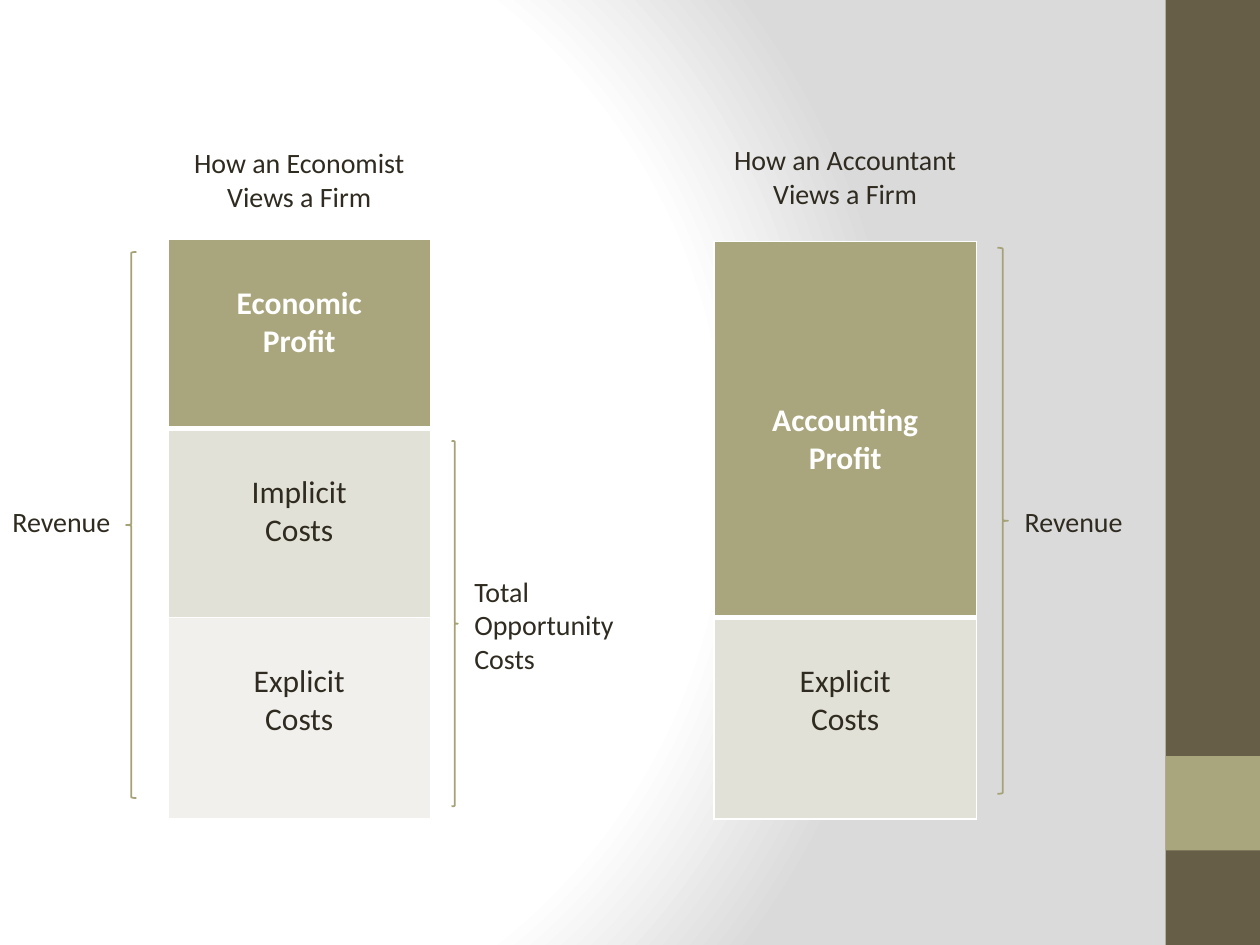
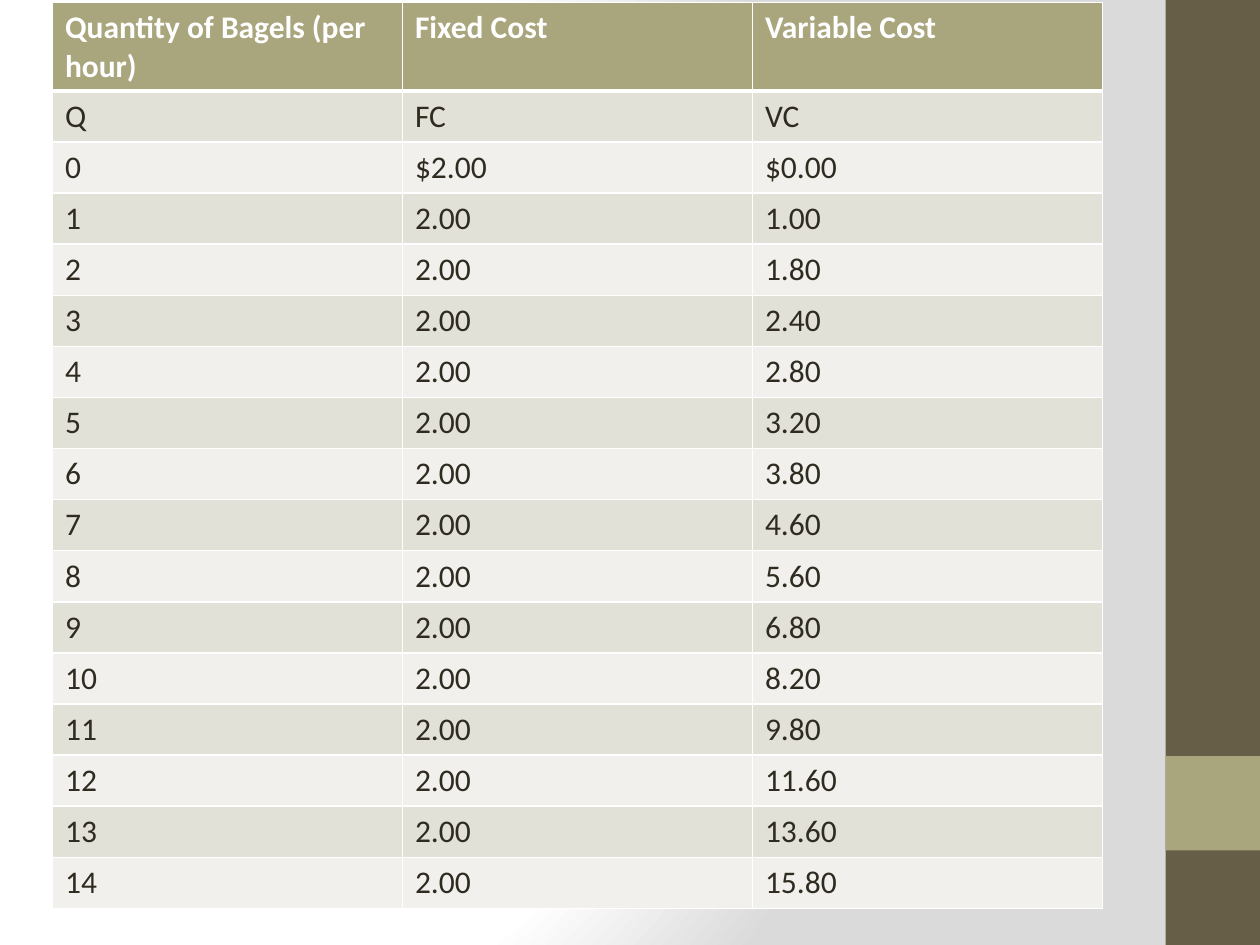
"""Build two slides on economic versus accounting profit and bagel costs."""
from dataclasses import dataclass

from lxml import etree
from pptx import Presentation
from pptx.dml.color import RGBColor
from pptx.enum.shapes import MSO_SHAPE
from pptx.enum.text import PP_ALIGN
from pptx.oxml import parse_xml
from pptx.oxml.ns import nsdecls, qn
from pptx.util import Inches, Pt

RECT = MSO_SHAPE.RECTANGLE
LEFT_BRACE = MSO_SHAPE.LEFT_BRACE
RIGHT_BRACE = MSO_SHAPE.RIGHT_BRACE
LEFT = PP_ALIGN.LEFT
CENTER = PP_ALIGN.CENTER

WIDTH, HEIGHT = Inches(10), Inches(7.5)
GRID_COLUMNS, GRID_ROWS = 120, 90
FONT = "Calibri"
WHITE, INK = "FFFFFF", "2F2B20"
BROWN, OLIVE, BRACE_OLIVE = "675E47", "A9A57C", "A6A278"
BANDS = ("E2E1D7", "F1F0EC")
BACKDROP_STOPS = ((0, WHITE), (75, WHITE), (100, "DADADA"))
CELL_PADDING = 0.6
LINE_ROWS = 3.66


@dataclass(frozen=True)
class Area:
    """Place on the slide grid, in columns and rows."""
    column: float
    row: float
    columns: float
    rows: float

    def emu(self) -> tuple[int, int, int, int]:
        """Return left, top, width and height."""
        return across(self.column), down(self.row), across(self.columns), down(self.rows)


@dataclass(frozen=True)
class Label:
    """Caption beside or above a stack."""
    text: str
    area: Area
    align: PP_ALIGN = LEFT


@dataclass(frozen=True)
class Brace:
    """Curly brace spanning part of a stack."""
    kind: MSO_SHAPE
    area: Area


@dataclass(frozen=True)
class Block:
    """One part of a firm's revenue, with its text lowered by some lines."""
    text: str
    rows: float
    lowered: int = 1


@dataclass(frozen=True)
class Stack:
    """Revenue split into blocks."""
    column: float
    row: float
    blocks: tuple[Block, ...]


BARS = ((BROWN, Area(111, 0, 9, 90)), (OLIVE, Area(111, 72, 9, 9)))
STACK_COLUMNS = 25
EXPLICIT = Block("Explicit\nCosts", 19.2)
STACKS = (
    Stack(16, 22.8, (Block("Economic\nProfit", 18), Block("Implicit\nCosts", 18), EXPLICIT)),
    Stack(68, 23, (Block("Accounting\nProfit", 35.8, 4), EXPLICIT)),
)
BRACES = (
    Brace(LEFT_BRACE, Area(12, 24, 1, 52)),
    Brace(RIGHT_BRACE, Area(95, 23.6, 1, 52)),
    Brace(RIGHT_BRACE, Area(43, 42, 0.6, 34.8)),
)
LABELS = (
    Label("Revenue", Area(0, 47.5, 12.6, 4.4)),
    Label("Total\nOpportunity\nCosts", Area(44, 54.1, 16, 10.9)),
    Label("Revenue", Area(96.4, 47.5, 12.6, 4.4)),
    Label("How an Economist\nViews a Firm", Area(16, 13.3, STACK_COLUMNS, 7.7), CENTER),
    Label("How an Accountant\nViews a Firm", Area(68, 13, STACK_COLUMNS, 7.7), CENTER),
)

COST_HEADINGS = ("Quantity of Bagels (per hour)", "Fixed Cost", "Variable Cost")
COST_SYMBOLS = ("Q", "FC", "VC")
VARIABLE_COSTS = ("$0.00", "1.00", "1.80", "2.40", "2.80", "3.20", "3.80", "4.60",
                  "5.60", "6.80", "8.20", "9.80", "11.60", "13.60", "15.80")
COST_AREA = Area(5, 0.25, 100, 86.3)
COST_HEADING_ROWS = 8.4


def across(columns: float) -> int:
    """Convert grid columns to a length."""
    return round(WIDTH * columns / GRID_COLUMNS)


def down(rows: float) -> int:
    """Convert grid rows to a length."""
    return round(HEIGHT * rows / GRID_ROWS)


def rgb(value: str) -> RGBColor:
    """Turn a hex string into a colour."""
    return RGBColor.from_string(value)


def style_text(frame, size: float, color: str, align: PP_ALIGN = LEFT, bold: bool = False) -> None:
    """Format every run in a text frame."""
    for paragraph in frame.paragraphs:
        paragraph.alignment = align
        for run in paragraph.runs:
            run.font.name, run.font.size, run.font.bold = FONT, Pt(size), bold
            run.font.color.rgb = rgb(color)


def paint_backdrop(slide) -> None:
    """Give the slide its radial white-to-grey gradient."""
    slide.background.fill.solid()
    stops = "".join(f'<a:gs pos="{share * 1000}"><a:srgbClr val="{color}"/></a:gs>'
                    for share, color in BACKDROP_STOPS)
    gradient = parse_xml(
        f'<a:gradFill {nsdecls("a")} rotWithShape="1"><a:gsLst>{stops}</a:gsLst>'
        '<a:path path="circle"><a:fillToRect l="20000" t="50000" r="100000" b="50000"/>'
        '</a:path></a:gradFill>')
    properties = slide.element.find(".//" + qn("p:bgPr"))
    properties.replace(properties.find(qn("a:solidFill")), gradient)


def add_themed_slide(deck):
    """Add a blank slide with the shared backdrop and side bars."""
    slide = deck.slides.add_slide(deck.slide_layouts[6])
    paint_backdrop(slide)
    for color, area in BARS:
        bar = slide.shapes.add_shape(RECT, *area.emu())
        bar.shadow.inherit = False
        bar.fill.solid()
        bar.fill.fore_color.rgb = rgb(color)
        bar.line.fill.background()
    return slide


def set_borders(cell, row: int) -> None:
    """Draw white cell borders, heavy between the top row and the rest."""
    weights = {"L": 1, "R": 1, "T": 3 if row == 1 else 1, "B": 3 if row == 0 else 1}
    properties = cell._tc.get_or_add_tcPr()
    for side, points in weights.items():
        border = etree.SubElement(properties, qn(f"a:ln{side}"), w=str(Pt(points)))
        fill = etree.SubElement(border, qn("a:solidFill"))
        etree.SubElement(fill, qn("a:srgbClr"), val=WHITE)


def add_banded_table(slide, area: Area, rows: list[tuple[str, ...]], heights: list[float],
                     align: PP_ALIGN = LEFT):
    """Add a table with an olive top row and alternating pale rows."""
    count = len(rows[0])
    table = slide.shapes.add_table(len(rows), count, *area.emu()).table
    table.horz_banding = False
    for column in table.columns:
        column.width = across(area.columns / count)
    for index, (texts, height) in enumerate(zip(rows, heights)):
        table.rows[index].height = down(height)
        top = index == 0
        for column, text in enumerate(texts):
            cell = table.cell(index, column)
            set_borders(cell, index)
            cell.fill.solid()
            cell.fill.fore_color.rgb = rgb(OLIVE if top else BANDS[(index - 1) % 2])
            cell.text_frame.text = text
            style_text(cell.text_frame, 18, WHITE if top else INK, align, top)
    return table


def add_stack(slide, stack: Stack) -> None:
    """Draw one firm's revenue as stacked blocks."""
    heights = [block.rows for block in stack.blocks]
    area = Area(stack.column, stack.row, STACK_COLUMNS, sum(heights))
    table = add_banded_table(slide, area, [(block.text,) for block in stack.blocks],
                             heights, CENTER)
    for index, block in enumerate(stack.blocks):
        table.cell(index, 0).margin_top = down(CELL_PADDING + LINE_ROWS * block.lowered)


def add_brace(slide, brace: Brace) -> None:
    """Draw an outlined brace."""
    shape = slide.shapes.add_shape(brace.kind, *brace.area.emu())
    shape.shadow.inherit = False
    shape.fill.background()
    shape.line.color.rgb = rgb(BRACE_OLIVE)
    shape.line.width = Pt(1)


def add_label(slide, label: Label) -> None:
    """Write a caption."""
    frame = slide.shapes.add_textbox(*label.area.emu()).text_frame
    frame.word_wrap = True
    frame.text = label.text
    style_text(frame, 16, INK, label.align)


def build_profit_views(deck) -> None:
    """Compare the economist's and the accountant's view of a firm."""
    slide = add_themed_slide(deck)
    for stack in STACKS:
        add_stack(slide, stack)
    for brace in BRACES:
        add_brace(slide, brace)
    for label in LABELS:
        add_label(slide, label)


def build_bagel_costs(deck) -> None:
    """Tabulate fixed and variable cost by quantity of bagels."""
    slide = add_themed_slide(deck)
    costs = [(str(quantity), "2.00" if quantity else "$2.00", variable)
             for quantity, variable in enumerate(VARIABLE_COSTS)]
    rows = [COST_HEADINGS, COST_SYMBOLS, *costs]
    body_rows = len(rows) - 1
    body_height = (COST_AREA.rows - COST_HEADING_ROWS) / body_rows
    add_banded_table(slide, COST_AREA, rows, [COST_HEADING_ROWS] + [body_height] * body_rows)


def main() -> None:
    """Create and save the deck."""
    deck = Presentation()
    deck.slide_width, deck.slide_height = WIDTH, HEIGHT
    build_profit_views(deck)
    build_bagel_costs(deck)
    deck.save("out.pptx")


if __name__ == "__main__":
    main()
